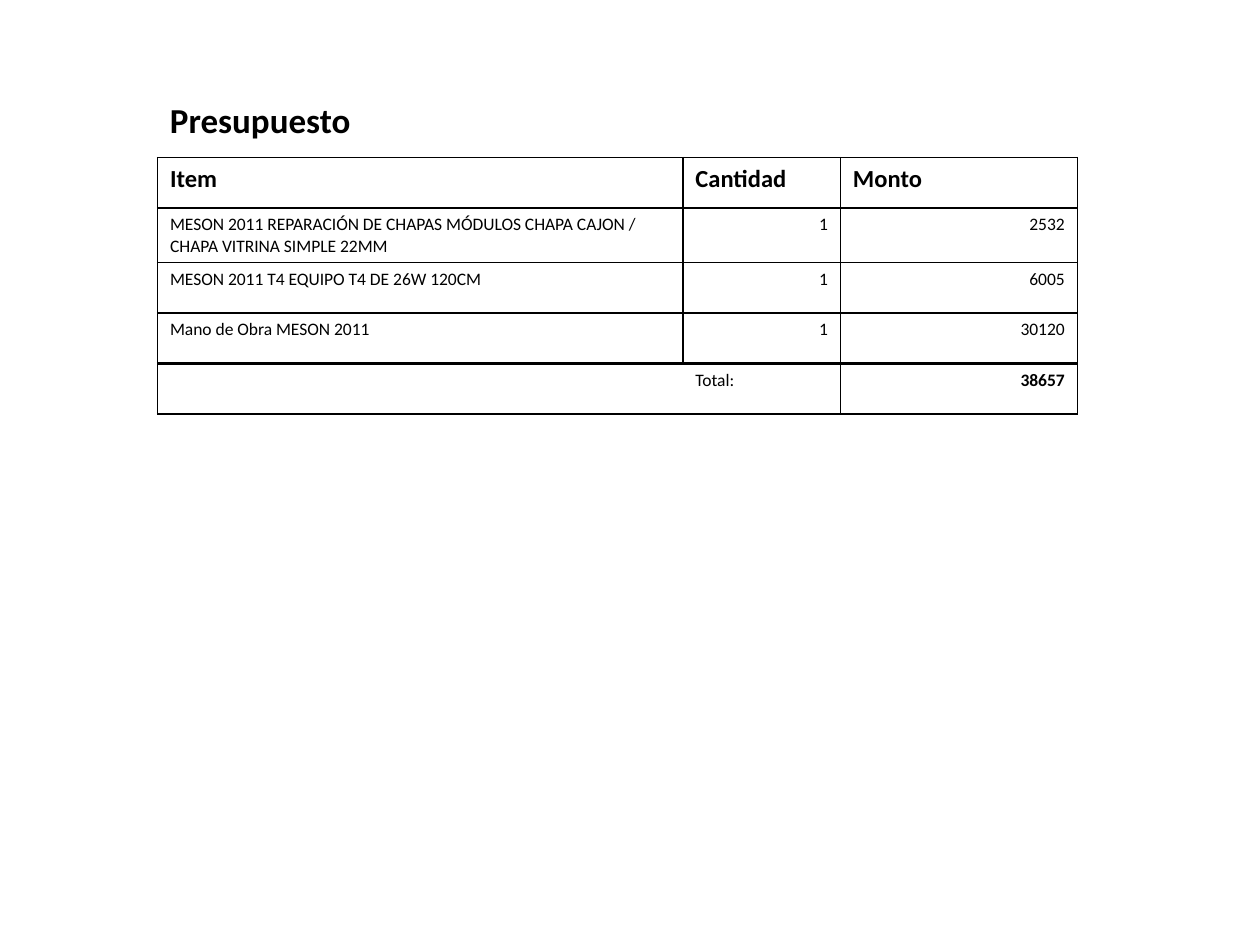
from dataclasses import dataclass

from lxml import etree
from pptx import Presentation
from pptx.dml.color import RGBColor
from pptx.enum.text import MSO_AUTO_SIZE, PP_ALIGN
from pptx.oxml.ns import qn
from pptx.util import Inches, Pt

LEFT, RIGHT = PP_ALIGN.LEFT, PP_ALIGN.RIGHT
GROW = MSO_AUTO_SIZE.SHAPE_TO_FIT_TEXT
FONT = "Calibri"
BLACK, WHITE = "000000", "FFFFFF"
COLUMN_WIDTHS = (4.17, 1.25, 1.88)
ROW_HEIGHT = 0.4
SIDES = "LRTB"


@dataclass
class CellStyle:
    size: int = 10
    bold: bool = False
    align: PP_ALIGN = LEFT
    fill: str | None = WHITE
    bottom: int = 1
    open_side: str = ""


def color(value: str) -> RGBColor:
    return RGBColor.from_string(value)


def write_text(paragraph, text: str, style: CellStyle) -> None:
    paragraph.text = text
    paragraph.alignment = style.align
    font = paragraph.font
    font.name, font.size, font.bold = FONT, Pt(style.size), style.bold
    font.color.rgb = color(BLACK)


def add_borders(cell, style: CellStyle) -> None:
    properties = cell._tc.get_or_add_tcPr()
    for side in SIDES:
        width = style.bottom if side == "B" else 1
        line = etree.SubElement(properties, qn(f"a:ln{side}"), w=str(Pt(width)))
        if side == style.open_side:
            etree.SubElement(line, qn("a:noFill"))
        else:
            fill = etree.SubElement(line, qn("a:solidFill"))
            etree.SubElement(fill, qn("a:srgbClr"), val=BLACK)


def fill_cell(cell, text: str, style: CellStyle) -> None:
    add_borders(cell, style)
    if style.fill:
        cell.fill.solid()
        cell.fill.fore_color.rgb = color(style.fill)
    else:
        cell.fill.background()
    write_text(cell.text_frame.paragraphs[0], text, style)


def item_styles(bottom: int = 1) -> list[CellStyle]:
    return [CellStyle(align=align, bottom=bottom) for align in (LEFT, RIGHT, RIGHT)]


ROWS = [
    (("Item", "Cantidad", "Monto"), [CellStyle(size=14, bold=True)] * 3),
    (("MESON 2011 REPARACIÓN DE CHAPAS MÓDULOS CHAPA CAJON / "
      "CHAPA VITRINA SIMPLE 22MM", "1", "2532"), item_styles()),
    (("MESON 2011 T4 EQUIPO T4 DE 26W 120CM", "1", "6005"), item_styles()),
    (("Mano de Obra MESON 2011", "1", "30120"), item_styles(bottom=2)),
    (("", "Total:", "38657"), [
        CellStyle(fill=None, open_side="R"),
        CellStyle(fill=None, open_side="L"),
        CellStyle(fill=None, bold=True, align=RIGHT),
    ]),
]


def add_title(slide) -> None:
    box = slide.shapes.add_textbox(Inches(1.25), Inches(0.73), Inches(6.25), Inches(3.12))
    box.text_frame.word_wrap = True
    box.text_frame.auto_size = GROW
    write_text(box.text_frame.paragraphs[0], "Presupuesto", CellStyle(size=20, bold=True))


def add_budget_table(slide) -> None:
    table = slide.shapes.add_table(
        len(ROWS), len(COLUMN_WIDTHS), Inches(1.25), Inches(1.25),
        Inches(sum(COLUMN_WIDTHS)), Inches(ROW_HEIGHT * len(ROWS)),
    ).table
    table.first_row = table.horz_banding = False
    for column, width in zip(table.columns, COLUMN_WIDTHS):
        column.width = Inches(width)
    for row, (texts, styles) in zip(table.rows, ROWS):
        row.height = Inches(ROW_HEIGHT)
        for cell, text, style in zip(row.cells, texts, styles):
            fill_cell(cell, text, style)


def main() -> None:
    presentation = Presentation()
    presentation.slide_width, presentation.slide_height = Inches(10), Inches(7.5)
    slide = presentation.slides.add_slide(presentation.slide_layouts[6])

    # Heading above the budget
    add_title(slide)

    # Items, quantities, amounts and total
    add_budget_table(slide)

    presentation.save("out.pptx")


if __name__ == "__main__":
    main()
